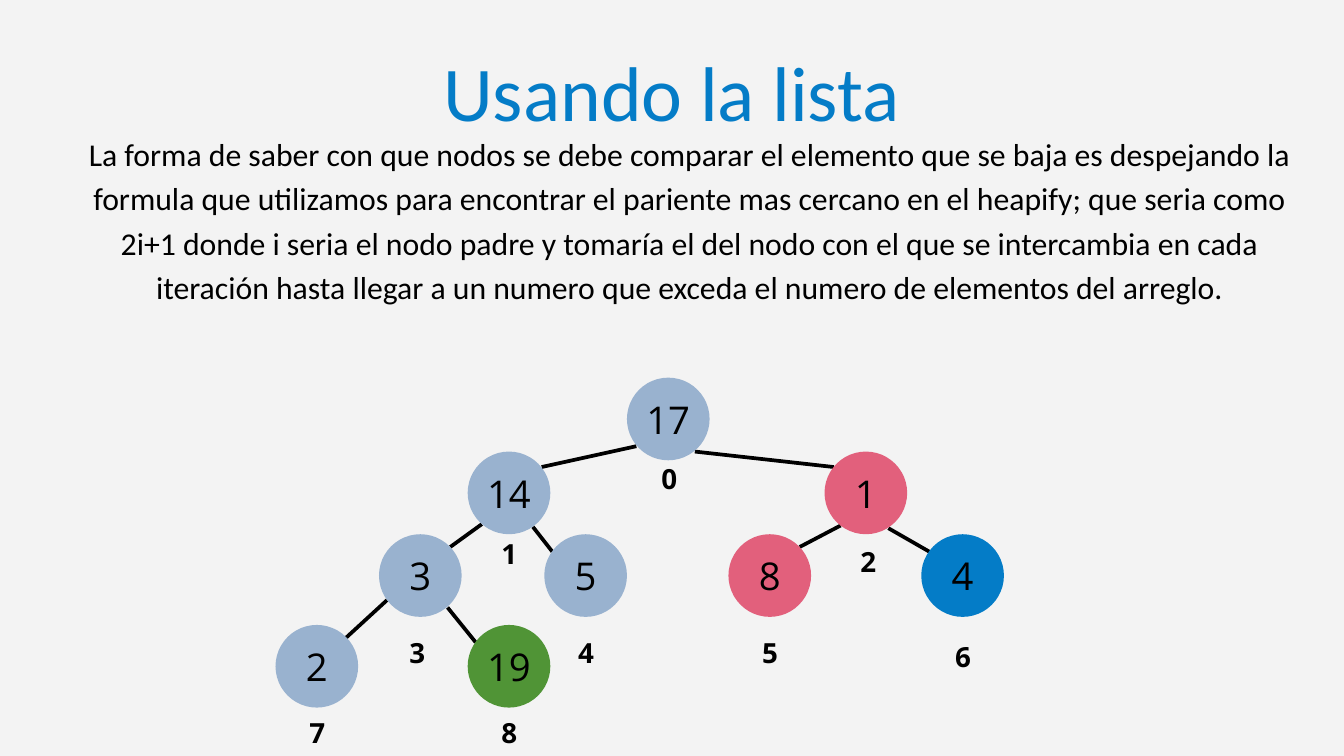
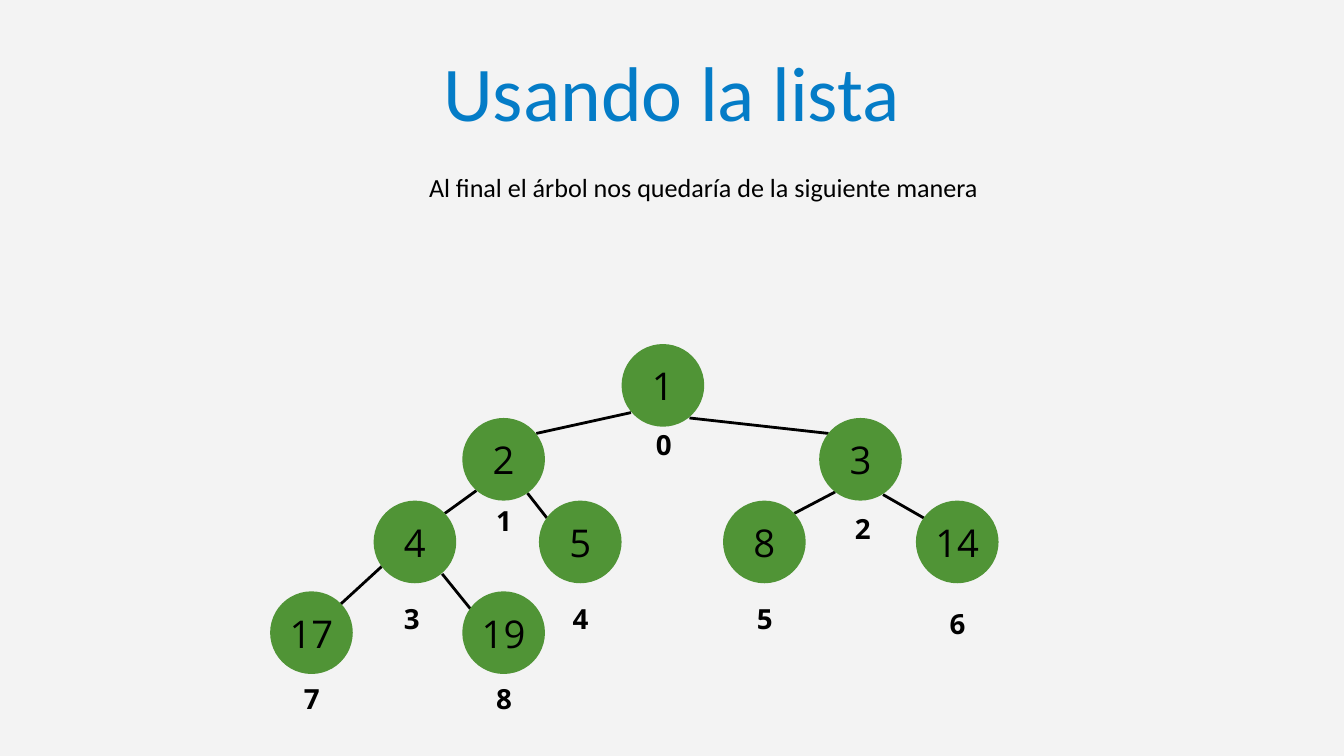
import pptx
import pptx.util
import pptx.dml.color
import pptx.enum.shapes
import pptx.enum.text
import pptx.oxml.ns
from lxml import etree

Inches, Pt = pptx.util.Inches, pptx.util.Pt

# Shared look
BACKGROUND, BLACK = "F3F3F3", "000000"
BLUE, STEEL, PINK, GREEN = "047CC7", "99B2CF", "E2607C", "509436"
TITLE_FONT, TREE_FONT = "Calibri", "Open Sans"
NODE_SIZE = 1.23

# Heap layout by list index: node corner, index label corner
NODES = [
    ((9.33, 5.62), (9.84, 6.79)),
    ((6.96, 6.72), (7.46, 7.91)),
    ((12.27, 6.72), (12.8, 8.03)),
    ((5.64, 7.95), (6.09, 9.38)),
    ((8.1, 7.95), (8.6, 9.38)),
    ((10.84, 7.95), (11.34, 9.38)),
    ((13.71, 7.95), (14.21, 9.44)),
    ((4.1, 9.3), (4.6, 10.57)),
    ((6.96, 9.3), (7.46, 10.57)),
]

# Edges from each child, in list order from index 1, to its parent
EDGES = [
    ((8.06, 6.95), (9.47, 6.64)),
    ((12.41, 6.95), (10.34, 6.72)),
    ((6.7, 8.14), (7.17, 7.8)),
    ((8.22, 8.21), (7.93, 7.84)),
    ((11.9, 8.14), (12.51, 7.82)),
    ((13.83, 8.21), (13.22, 7.86)),
    ((5.15, 9.49), (5.76, 8.93)),
    ((7.08, 9.56), (6.66, 9.04)),
]

EXPLANATION = (
    "La forma de saber con que nodos se debe comparar el elemento que se baja "
    "es despejando la formula que utilizamos para encontrar el pariente mas "
    "cercano en el heapify; que seria como 2i+1 donde i seria el nodo padre y "
    "tomaría el del nodo con el que se intercambia en cada iteración hasta "
    "llegar a un numero que exceda el numero de elementos del arreglo."
)


def rgb(hex_color):
    return pptx.dml.color.RGBColor.from_string(hex_color)


def set_text(sp, text, size, spacing, font, color=BLACK, bold=False):
    """Write one centred paragraph in a frame without margins."""
    tf = sp.text_frame
    tf.margin_left = tf.margin_right = tf.margin_top = tf.margin_bottom = 0
    tf.text = text
    p = tf.paragraphs[0]
    p.alignment = pptx.enum.text.PP_ALIGN.CENTER
    p.line_spacing = Pt(spacing)
    r = p.runs[0]
    r.font.size, r.font.name, r.font.bold = Pt(size), font, bold
    r.font.color.rgb = rgb(color)
    return tf


def add_text(s, x, y, w, h, text, size, spacing, font=TITLE_FONT, **style):
    sp = s.shapes.add_textbox(Inches(x), Inches(y), Inches(w), Inches(h))
    set_text(sp, text, size, spacing, font, **style).word_wrap = True


def add_node(s, x, y, value, color):
    sp = s.shapes.add_shape(pptx.enum.shapes.MSO_SHAPE.OVAL, Inches(x), Inches(y),
                            Inches(NODE_SIZE), Inches(NODE_SIZE))
    sp.shadow.inherit = False
    sp.fill.solid()
    sp.fill.fore_color.rgb = rgb(color)
    sp.line.fill.background()
    tf = set_text(sp, str(value), 41, 57.4, TREE_FONT)
    tf.vertical_anchor = pptx.enum.text.MSO_ANCHOR.MIDDLE
    tf.margin_bottom = Inches(0.11)
    tf.word_wrap = False


def add_edge(s, x1, y1, x2, y2, width):
    line = s.shapes.add_connector(pptx.enum.shapes.MSO_CONNECTOR.STRAIGHT,
                                  Inches(x1), Inches(y1), Inches(x2), Inches(y2))
    line.line.color.rgb = rgb(BLACK)
    line.line.width = Pt(width)
    sp_pr = line._element.spPr
    etree.SubElement(sp_pr, pptx.oxml.ns.qn("a:effectLst"))


def add_tree(s, values, colors, edge_width, dx=0, dy=0):
    for (x1, y1), (x2, y2) in EDGES:
        add_edge(s, x1 + dx, y1 + dy, x2 + dx, y2 + dy, edge_width)
    for ((x, y), _), value, color in zip(NODES, values, colors):
        add_node(s, x + dx, y + dy, value, color)
    for index, (_, (x, y)) in enumerate(NODES):
        add_text(s, x + dx, y + dy, 0.24, 0.54, str(index), 29.7, 41.6,
                 TREE_FONT, bold=True)


def add_slide(prs):
    s = prs.slides.add_slide(prs.slide_layouts[6])
    s.background.fill.solid()
    s.background.fill.fore_color.rgb = rgb(BACKGROUND)
    add_text(s, 6.36, 0.43, 7.27, 1.56, "Usando la lista", 83, 116.2, color=BLUE)
    return s


def main():
    prs = pptx.Presentation()
    prs.slide_width, prs.slide_height = Inches(20), Inches(11.25)

    # Comparing nodes while an element sinks
    s = add_slide(prs)
    add_tree(s, [17, 14, 1, 3, 5, 8, 4, 2, 19],
             [STEEL, STEEL, PINK, STEEL, STEEL, PINK, BLUE, STEEL, GREEN], 4)
    add_text(s, 1.12, 1.91, 18.28, 3.26, EXPLANATION, 34, 47.6)

    # Final ordered tree
    s = add_slide(prs)
    add_text(s, 3.22, 2.48, 14.49, 0.54,
             "Al final el árbol nos quedaría de la siguiente manera", 28, 39.2)
    add_tree(s, [1, 2, 3, 4, 5, 8, 14, 17, 19], [GREEN] * len(NODES), 3,
             dx=-0.08, dy=-0.5)

    prs.save("out.pptx")


if __name__ == "__main__":
    main()
